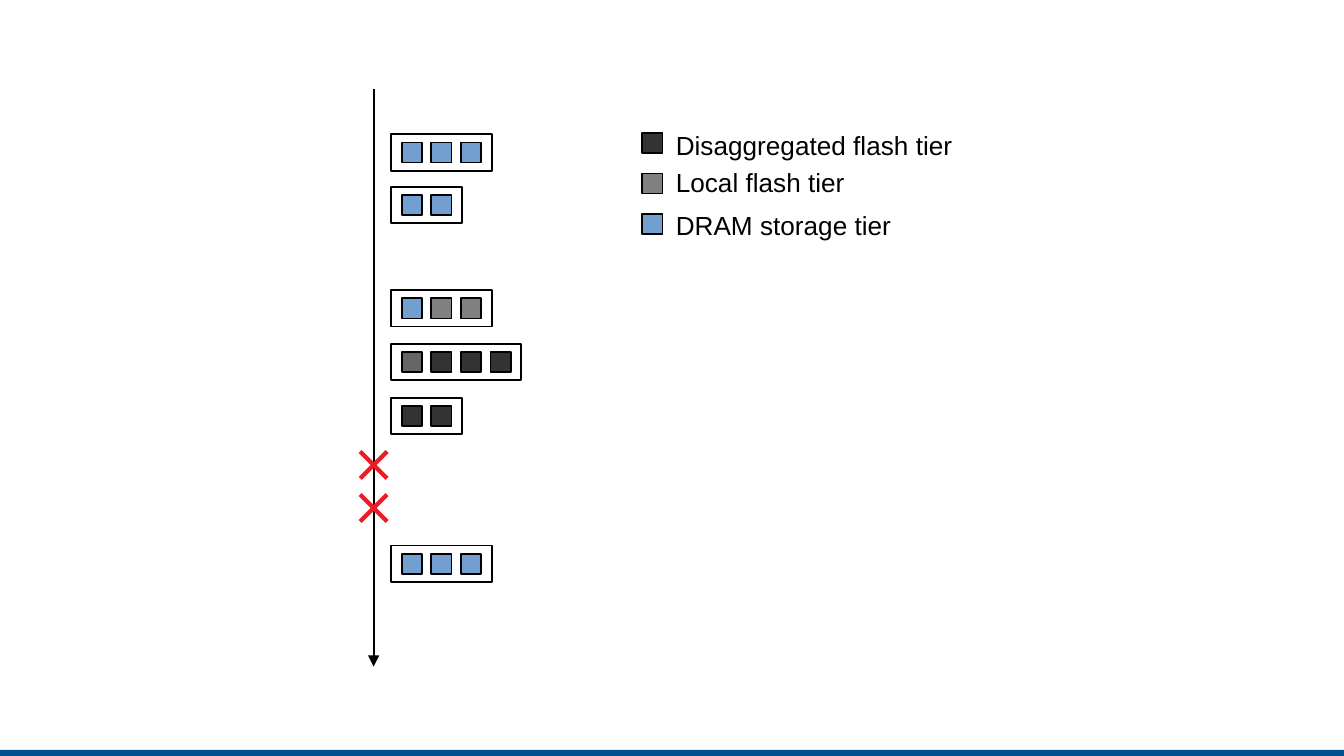
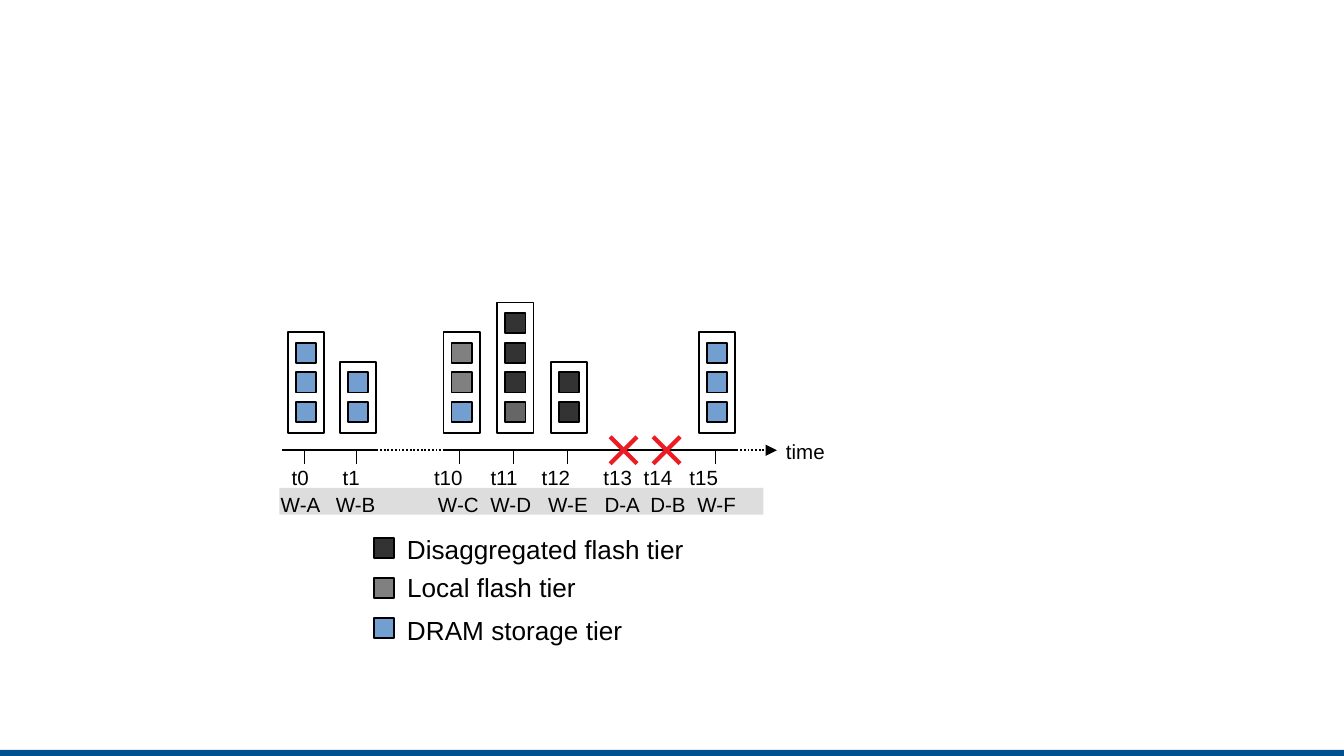
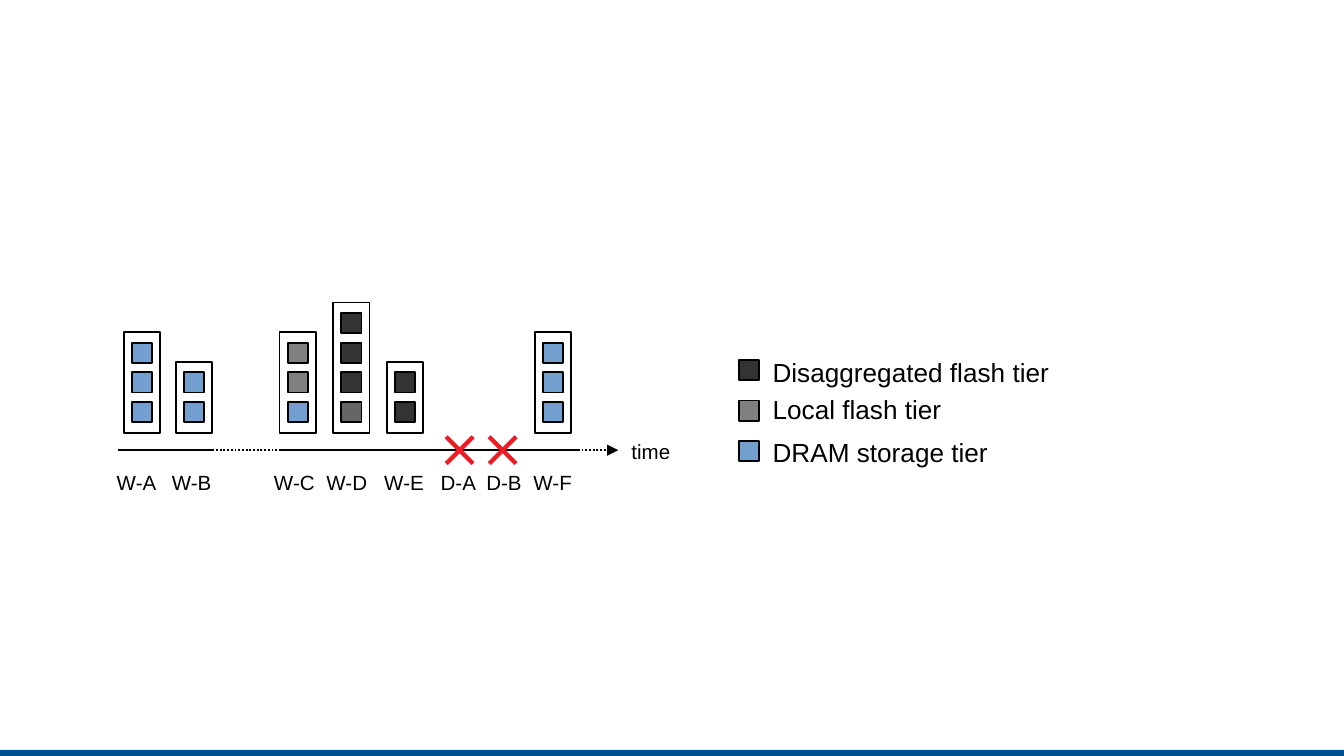
"""Build three slides showing storage tiers used over time."""
from lxml import etree
from pptx import Presentation
from pptx.dml.color import RGBColor
from pptx.enum.dml import MSO_LINE
from pptx.enum.shapes import MSO_CONNECTOR, MSO_SHAPE
from pptx.enum.text import MSO_AUTO_SIZE
from pptx.oxml.ns import qn
from pptx.util import Inches, Pt

STRAIGHT = MSO_CONNECTOR.STRAIGHT
RECTANGLE = MSO_SHAPE.RECTANGLE
DOTS = MSO_LINE.ROUND_DOT
FIT_TEXT = MSO_AUTO_SIZE.SHAPE_TO_FIT_TEXT

FONT = "Arial"
BLACK, RED, NAVY, BAND = "000000", "ED1C24", "00508F", "DDDDDD"
DRAM, LOCAL, MIXED, REMOTE = "729FCF", "808080", "666666", "333333"

WRITES = [
    (0, [DRAM, DRAM, DRAM]),
    (0.39, [DRAM, DRAM]),
    (1.16, [DRAM, LOCAL, LOCAL]),
    (1.56, [MIXED, REMOTE, REMOTE, REMOTE]),
    (1.96, [REMOTE, REMOTE]),
    (3.06, [DRAM, DRAM, DRAM]),
]
LEGEND = [
    ("Disaggregated flash tier", REMOTE, -0.08, 2.34),
    ("Local flash tier", LOCAL, 0.2, 2.82),
    ("DRAM storage tier", DRAM, 0.52, 1.84),
]
OPERATIONS = ["W-A", "W-B", "W-C", "W-D", "W-E", "D-A", "D-B", "W-F"]
OPERATION_TABS = [0.41, 1.17, 1.56, 1.99, 2.41, 2.75, 3.1]
TIMES = ["t0", "t1", "t10", "t11", "t12", "t13", "t14", "t15"]
TIME_TABS = [0.38, 1.06, 1.48, 1.86, 2.32, 2.62, 2.96]
TICKS = [0.16, 0.55, 1.32, 1.72, 2.12, 3.22]

SQUARE, STEP, PAD, DEPTH = 0.15, 0.22, 0.08, 0.27
AXIS_Y, STACK_BOTTOM = 3.35, 3.22


def color(value):
    return RGBColor.from_string(value)


def add_rect(shapes, left, top, width, height, fill=None, outlined=True, upright=False):
    rect = shapes.add_shape(RECTANGLE, Inches(left), Inches(top), Inches(width), Inches(height))
    rect.shadow.inherit = False
    if fill:
        rect.fill.solid()
        rect.fill.fore_color.rgb = color(fill)
    else:
        rect.fill.background()
    if outlined:
        rect.line.color.rgb = color(BLACK)
        rect.line.width = Pt(1)
    else:
        rect.line.fill.background()
    if upright:
        rect.rotation = 270


def add_line(page, x1, y1, x2, y2, stroke=BLACK, width=1, dotted=False, arrow=False):
    line = page.shapes.add_connector(STRAIGHT, Inches(x1), Inches(y1), Inches(x2), Inches(y2))
    line.line.color.rgb = color(stroke)
    line.line.width = Pt(width)
    if dotted:
        line.line.dash_style = DOTS
    properties = line._element.spPr
    if arrow:
        etree.SubElement(properties.find(qn("a:ln")), qn("a:tailEnd"), type="triangle")
    etree.SubElement(properties, qn("a:effectLst"))


def add_text(shapes, text, left, top, width, size, inset=0.1, tabs=()):
    box = shapes.add_textbox(Inches(left), Inches(top), Inches(width), Inches(0.38))
    frame = box.text_frame
    frame.word_wrap = bool(tabs)
    frame.auto_size = FIT_TEXT
    frame.margin_left = Inches(inset)
    if tabs:
        frame.margin_right = 0
    frame.text = text
    para = frame.paragraphs[0]
    if tabs:
        tab_list = etree.SubElement(para._p.get_or_add_pPr(), qn("a:tabLst"))
        for tab in tabs:
            etree.SubElement(tab_list, qn("a:tab"), pos=str(Inches(tab)), algn="l")
    for span in para.runs:
        span.font.name = FONT
        span.font.size = Pt(size)
        span.font.color.rgb = color(BLACK)


def add_cross(page, x, y, reach=0.1):
    for slope in (1, -1):
        add_line(page, x - reach, y - slope * reach, x + reach, y + slope * reach, RED, 2.3)


def add_legend(shapes, left, top):
    for row, (label, fill, shift, width) in enumerate(LEGEND):
        add_text(shapes, label, left + SQUARE, top + shift, width, 14)
        add_rect(shapes, left, top + row * 0.3, SQUARE, SQUARE, fill, upright=True)


def add_writes(page, start, upright):
    """Draw each write as a framed run of squares, across or upward."""
    for offset, tiers in WRITES:
        length = len(tiers) * STEP + 0.09
        if upright:
            left = start + offset + (DEPTH - length) / 2
            top = STACK_BOTTOM - (length + DEPTH) / 2
        else:
            left, top = 2.91, start + offset
        add_rect(page.shapes, left, top, length, DEPTH, upright=upright)
        for index, tier in enumerate(tiers):
            along = PAD + index * STEP
            if upright:
                x, y = start + offset + 0.06, STACK_BOTTOM - along - SQUARE
            else:
                x, y = left + along, top + 0.06
            add_rect(page.shapes, x, y, SQUARE, SQUARE, tier, upright=upright)


def add_timeline(page, start, arrow_start, time_left, operations_top):
    add_writes(page, start + 0.04, True)
    add_line(page, start, AXIS_Y, start + 0.7, AXIS_Y)
    add_line(page, start + 0.7, AXIS_Y, start + 1.2, AXIS_Y, dotted=True)
    add_line(page, start + 1.2, AXIS_Y, arrow_start, AXIS_Y)
    add_line(page, arrow_start, AXIS_Y, arrow_start + 0.3, AXIS_Y, dotted=True, arrow=True)
    for offset in (2.54, 2.86):
        add_cross(page, start + offset, AXIS_Y)
    add_text(page.shapes, "\t".join(OPERATIONS), start - 0.11, operations_top, 3.61, 11,
             tabs=OPERATION_TABS)
    add_text(page.shapes, "time", time_left, 3.22, 0.54, 11)


def add_page(deck):
    page = deck.slides.add_slide(deck.slide_layouts[6])
    add_rect(page.shapes, 0, 5.58, 10, 0.05, NAVY, outlined=False)
    return page


def build_vertical(deck):
    page = add_page(deck)
    add_writes(page, 1, False)
    add_line(page, 2.78, 0.66, 2.78, 4.96, arrow=True)
    for y in (3.46, 3.78):
        add_cross(page, 2.78, y)
    add_legend(page.shapes.add_group_shape().shapes, 4.78, 0.99)


def build_detailed(deck):
    page = add_page(deck)
    start = 2.1
    add_rect(page.shapes, 2.08, 3.63, 3.6, 0.2, BAND, outlined=False)
    add_timeline(page, start, 5.48, 5.75, 3.61)
    for tick in TICKS:
        add_line(page, start + tick, AXIS_Y, start + tick, AXIS_Y + 0.1, width=0.1)
    add_text(page.shapes, "\t".join(TIMES), start - 0.11, 3.41, 3.5, 11,
             inset=0.18, tabs=TIME_TABS)
    add_legend(page.shapes, 2.78, 4)


def build_compact(deck):
    page = add_page(deck)
    add_timeline(page, 0.88, 4.3, 4.6, 3.45)
    add_legend(page.shapes, 5.5, 2.68)


def main():
    deck = Presentation()
    deck.slide_width = Inches(10)
    deck.slide_height = deck.slide_width * 9 // 16
    build_vertical(deck)
    build_detailed(deck)
    build_compact(deck)
    deck.save("out.pptx")


if __name__ == "__main__":
    main()
